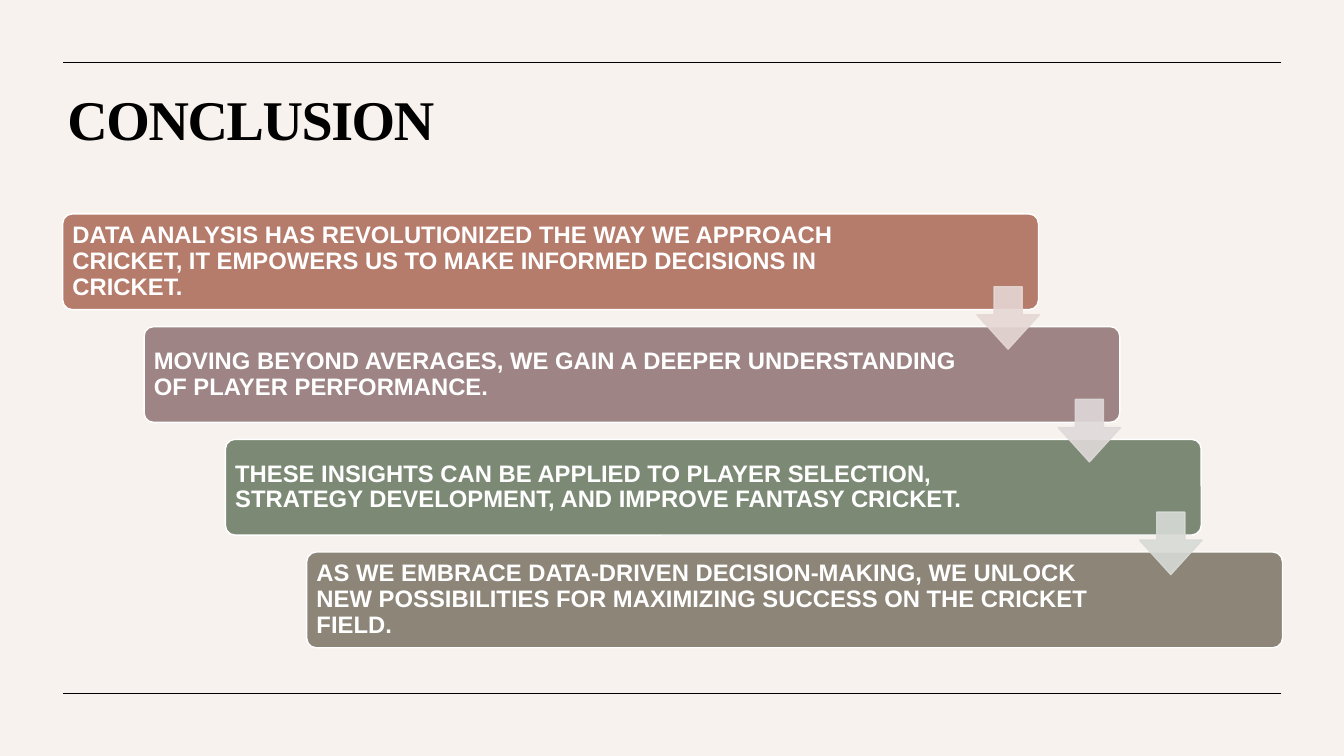
from pptx import Presentation
from pptx import util as u
from pptx.dml.color import RGBColor
from pptx.enum import shapes, text
from pptx.oxml import xmlchemy

THEME = {
    "background": RGBColor.from_string("F7F2EE"),
    "ink": RGBColor.from_string("000000"),
    "white": RGBColor.from_string("FFFFFF"),
    "bars": ["B57B6B", "9E8484", "7C8A75", "8C8578"],
    "arrows": ["E5D7D4", "DFD9D9", "D7DAD6"],
    "title_font": "Times New Roman",
    "body_font": "Arial",
    "title_size": u.Pt(40),
    "body_size": u.Pt(17),
}
CONCLUSIONS = [
    "DATA ANALYSIS HAS REVOLUTIONIZED THE WAY WE APPROACH CRICKET, IT EMPOWERS US TO MAKE INFORMED DECISIONS IN CRICKET.",
    "MOVING BEYOND AVERAGES, WE GAIN A DEEPER UNDERSTANDING OF PLAYER PERFORMANCE.",
    "THESE INSIGHTS CAN BE APPLIED TO PLAYER SELECTION, STRATEGY DEVELOPMENT, AND IMPROVE FANTASY CRICKET.",
    "AS WE EMBRACE DATA-DRIVEN DECISION-MAKING, WE UNLOCK NEW POSSIBILITIES FOR MAXIMIZING SUCCESS ON THE CRICKET FIELD.",
]
LEFT, RIGHT = 44.8, 915.2
BAR_TOP, BAR_WIDTH, BAR_HEIGHT = 152.8, 697, 68.4
STEP_X, STEP_Y = 58.1, 80.5
ARROW_X, ARROW_Y, ARROW_SIZE = 653, 52, 44.6


def add_block(slide, kind, left, top, width, height, fill, line):
    shape = slide.shapes.add_shape(kind, u.Pt(left), u.Pt(top), u.Pt(width), u.Pt(height))
    shape.shadow.inherit = False
    shape.fill.solid()
    shape.fill.fore_color.rgb = fill
    shape.line.color.rgb = line
    shape.line.width = u.Pt(1)
    return shape


def style_paragraph(paragraph, font, size, color):
    paragraph.alignment = text.PP_ALIGN.LEFT
    paragraph.line_spacing = 0.9
    paragraph.font.name = font
    paragraph.font.size = size
    paragraph.font.bold = True
    paragraph.font.color.rgb = color


presentation = Presentation()
presentation.slide_width = u.Pt(960)
presentation.slide_height = u.Pt(540)
slide = presentation.slides.add_slide(presentation.slide_layouts[5])
slide.background.fill.solid()
slide.background.fill.fore_color.rgb = THEME["background"]

title = slide.shapes.title
title.left, title.top, title.width, title.height = u.Pt(41), u.Pt(62), u.Pt(875), u.Pt(83)
title.text_frame.text = "CONCLUSION"
title.text_frame.vertical_anchor = text.MSO_ANCHOR.TOP
title.text_frame.auto_size = text.MSO_AUTO_SIZE.NONE
title_paragraph = title.text_frame.paragraphs[0]
style_paragraph(title_paragraph, THEME["title_font"], THEME["title_size"], THEME["ink"])
title_paragraph.runs[0]._r.get_or_add_rPr().set("spc", "-100")

for rule_y in (44.6, 495.4):
    rule = slide.shapes.add_connector(
        shapes.MSO_CONNECTOR.STRAIGHT, u.Pt(RIGHT), u.Pt(rule_y), u.Pt(LEFT), u.Pt(rule_y))
    rule.line.color.rgb = THEME["ink"]
    rule.line.width = u.Pt(0.5)
    rule._element.spPr.append(xmlchemy.OxmlElement("a:effectLst"))

for index, (conclusion, color) in enumerate(zip(CONCLUSIONS, THEME["bars"])):
    bar = add_block(
        slide, shapes.MSO_SHAPE.ROUNDED_RECTANGLE, LEFT + index * STEP_X, BAR_TOP + index * STEP_Y,
        BAR_WIDTH, BAR_HEIGHT, RGBColor.from_string(color), THEME["white"])
    bar.adjustments[0] = 0.1
    frame = bar.text_frame
    frame.word_wrap = True
    frame.vertical_anchor = text.MSO_ANCHOR.MIDDLE
    frame.margin_left = frame.margin_top = frame.margin_bottom = u.Pt(5)
    frame.margin_right = u.Pt(80 if index == 0 else 108)
    frame.text = conclusion
    style_paragraph(frame.paragraphs[0], THEME["body_font"], THEME["body_size"], THEME["white"])

for index, color in enumerate(THEME["arrows"]):
    tint = RGBColor.from_string(color)
    arrow = add_block(
        slide, shapes.MSO_SHAPE.DOWN_ARROW, LEFT + ARROW_X + index * STEP_X,
        BAR_TOP + ARROW_Y + index * STEP_Y, ARROW_SIZE, ARROW_SIZE, tint, tint)
    arrow.adjustments[0] = 0.45
    arrow.adjustments[1] = 0.55
    for color_element in arrow._element.spPr.xpath(".//a:srgbClr"):
        alpha = xmlchemy.OxmlElement("a:alpha")
        alpha.set("val", "90000")
        color_element.append(alpha)

presentation.save("out.pptx")
